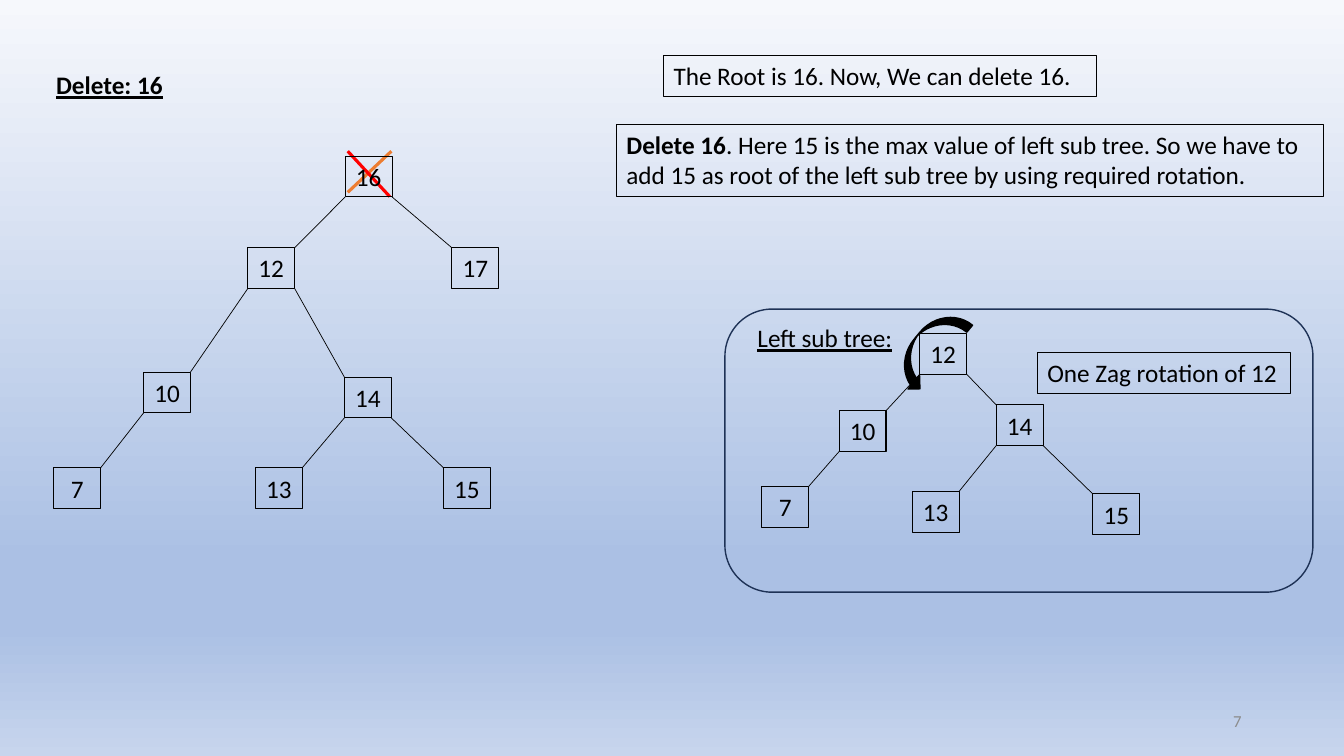
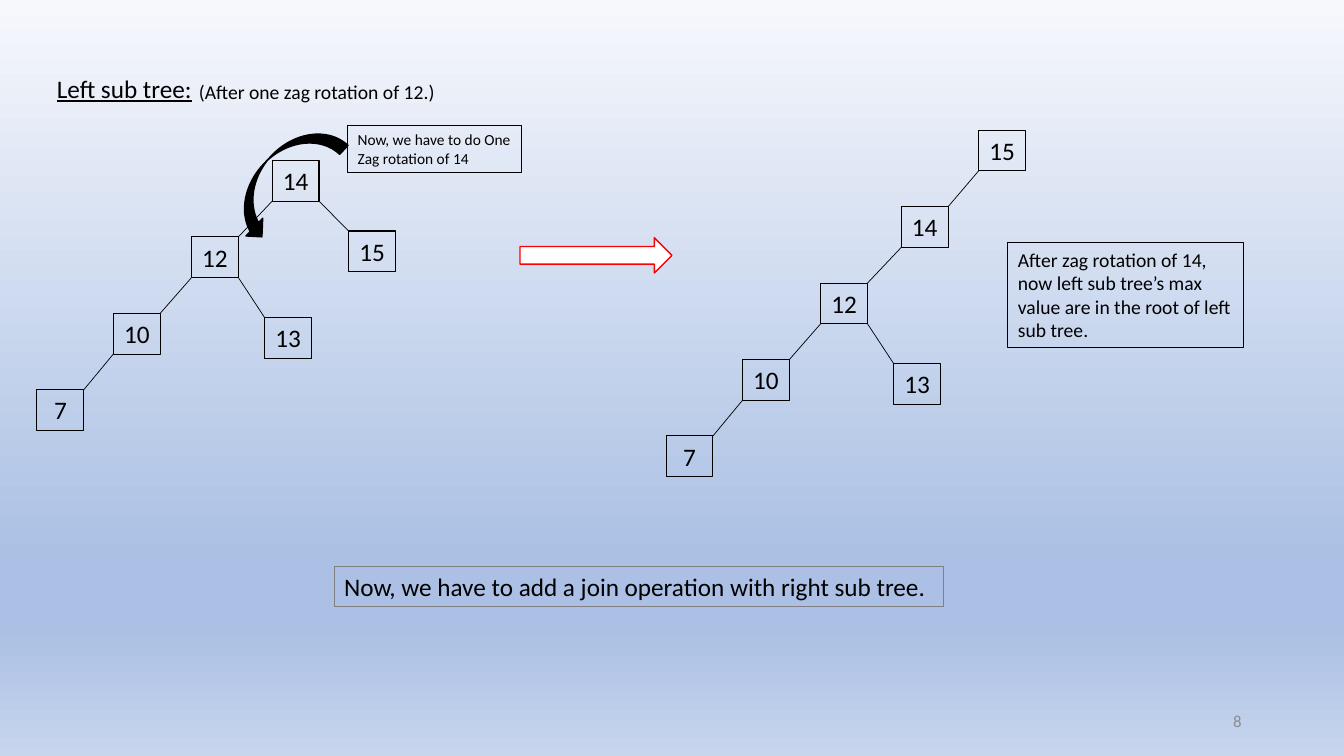
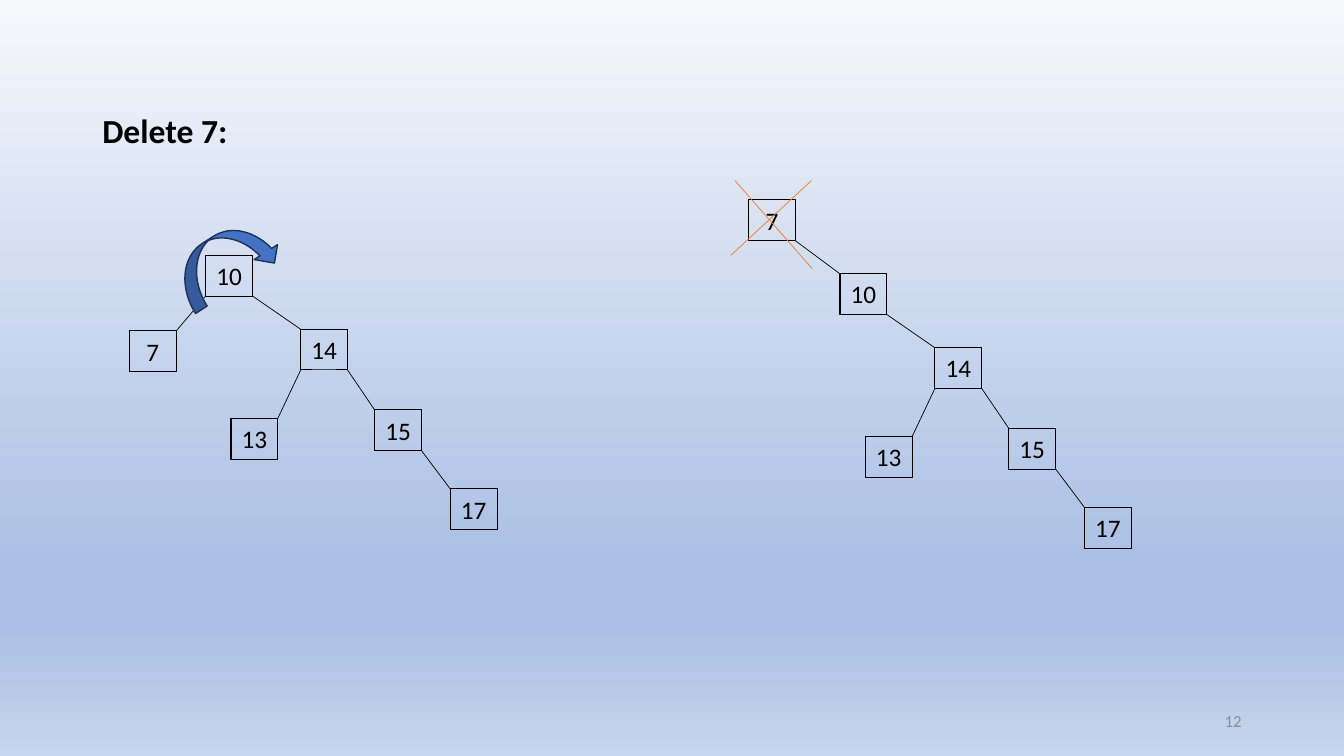
import copy
import pptx
import pptx.dml.color
import pptx.enum.shapes
import pptx.enum.text
import pptx.oxml
import pptx.oxml.ns
import pptx.util

SHAPE = pptx.enum.shapes.MSO_SHAPE
ALIGN = pptx.enum.text.PP_ALIGN
ANCHOR = pptx.enum.text.MSO_ANCHOR

# Grid of 160 columns and 90 rows with square cells
COLS, ROWS = 160, 90
CELL = pptx.util.Inches(7.5) // ROWS
NODE_W, NODE_H = 5.58, 4.85

# Shared look
FONT = "Calibri"
BLACK, GREY, NAVY = "000000", "8C8C8C", "1E3256"
RED, ORANGE, BLUE, WHITE = "FF0000", "ED7D31", "4472C4", "FFFFFF"
SKY = [(0, "F6F8FC"), (0.74, "ABC0E4"), (0.83, "ABC0E4"), (1, "C7D5ED")]


def grid(*cells):
    return [round(c * CELL) for c in cells]


def color(code):
    return pptx.dml.color.RGBColor.from_string(code)


def shift(area, x, y, w=0, h=0):
    """Box given relative to the corner of an area."""
    return area[0] + x, area[1] + y, w, h


def sky(master):
    fill = master.background.fill
    fill.gradient()
    fill.gradient_angle = 270
    stops = master.element.find(".//" + pptx.oxml.ns.qn("a:gsLst"))
    for _ in range(len(SKY) - len(stops)):
        stops.append(copy.deepcopy(stops[0]))
    for stop, (place, code) in zip(fill.gradient_stops, SKY):
        stop.position = place
        stop.color.rgb = color(code)


def shape(slide, kind, box, line=BLACK, width=1, fill=None, turn=0):
    item = slide.shapes.add_shape(kind, *grid(*box))
    item.shadow.inherit = False
    item.rotation = turn
    item.line.color.rgb = color(line)
    item.line.width = pptx.util.Pt(width)
    if fill:
        item.fill.solid()
        item.fill.fore_color.rgb = color(fill)
    else:
        item.fill.background()
    return item


def line(slide, start, end, code=BLACK, width=0.5):
    item = slide.shapes.add_connector(
        pptx.enum.shapes.MSO_CONNECTOR.STRAIGHT, *grid(*start, *end))
    item.line.color.rgb = color(code)
    item.line.width = pptx.util.Pt(width)
    item._element.spPr.append(pptx.oxml.parse_xml(
        "<a:effectLst %s/>" % pptx.oxml.ns.nsdecls("a")))


def write(item, runs, size=18, code=BLACK, align=ALIGN.LEFT,
          anchor=ANCHOR.TOP, wrap=False):
    """Fill an item with runs of (text, style); style holds b and u marks."""
    frame = item.text_frame
    frame.word_wrap = wrap
    frame.vertical_anchor = anchor
    para = frame.paragraphs[0]
    para.alignment = align
    for text, style in runs:
        run = para.add_run()
        run.text = text
        font = run.font
        font.name = FONT
        font.size = pptx.util.Pt(size)
        font.color.rgb = color(code)
        font.bold = "b" in style
        font.underline = "u" in style


def label(slide, box, text, style="", **look):
    write(slide.shapes.add_textbox(*grid(*box)), [(text, style)], **look)


def note(slide, box, *runs, edge=BLACK, **look):
    write(shape(slide, SHAPE.RECTANGLE, box, edge, 0.75), runs, **look)


def tree(slide, area, nodes):
    """Draw nodes given as value: (x, y, parent), parent 0 for the root."""
    for value, (x, y, parent) in nodes.items():
        box = shift(area, x, y, NODE_W, NODE_H)
        note(slide, box, (str(value), ""), align=ALIGN.CENTER)
        if parent:
            px, py, _ = nodes[parent]
            left = x < px
            line(slide,
                 shift(area, px + (0 if left else NODE_W), py + NODE_H)[:2],
                 shift(area, x + (NODE_W if left else 0), y)[:2])


def page(deck, number):
    slide = deck.slides.add_slide(deck.slide_layouts[6])
    label(slide, (113, 83.4, 36, 4.8), number, size=12, code=GREY,
          align=ALIGN.RIGHT, anchor=ANCHOR.MIDDLE, wrap=True)
    return slide


def panel(slide, area):
    """Rounded panel with the left sub tree."""
    shape(slide, SHAPE.ROUNDED_RECTANGLE, area, NAVY)
    label(slide, shift(area, 2.7, 1, 18.7, 4.8), "Left sub tree:", "u")
    tree(slide, area, {
        12: (23.2, 2.9, 0), 10: (13.6, 12.1, 12), 14: (32.3, 11.4, 12),
        7: (4.4, 21.1, 10), 13: (22.3, 21.7, 14), 15: (43.8, 22, 14)})
    note(slide, shift(area, 37.2, 5.2, 30.1, 4.85),
         ("One Zag rotation of 12", ""))
    shape(slide, SHAPE.CURVED_RIGHT_ARROW,
          shift(area, 22.2, -0.7, 4.3, 10.9), fill=BLACK, turn=39.6)


def root(deck):
    slide = page(deck, "7")
    label(slide, (5.5, 7.7, 15.2, 4.8), "Delete: 16", "bu")
    # Tree with its root crossed out
    line(slide, (46.6, 18), (41.4, 22.9), ORANGE, 2.25)
    line(slide, (41.4, 18), (46.4, 23.4), RED, 2.25)
    tree(slide, (6.4, 18.6), {
        16: (34.7, 0, 0), 12: (23.1, 10.9, 16), 17: (47.4, 10.9, 16),
        10: (10.7, 25.7, 12), 14: (34.6, 26.3, 12), 7: (0, 37.1, 10),
        13: (24, 37.1, 14), 15: (46.4, 37.1, 14)})
    # Notes and sub tree
    note(slide, (79, 6.6, 51.5, 4.85),
         ("The Root is 16. Now, We can delete 16.", ""))
    note(slide, (73.4, 14.8, 84.2, 8.6), ("Delete 16", "b"),
         (". Here 15 is the max value of left sub tree. So we have to add 15 "
          "as root of the left sub tree by using required rotation.", ""),
         wrap=True)
    panel(slide, (86.3, 36.8, 70, 33.7))


def zag(deck):
    slide = page(deck, "8")
    label(slide, (5.6, 8.1, 18.7, 4.8), "Left sub tree:", "u")
    label(slide, (22.5, 8.9, 30.8, 4), "(After one zag rotation of 12.)",
          size=14)
    # Trees before and after the rotation
    spine = {14: (28, 0, 0), 12: (18.4, 9.1, 14), 13: (27.1, 18.7, 12),
             10: (9.1, 18.2, 12), 7: (0, 27.3, 10)}
    tree(slide, (4.4, 19.1), {**spine, 15: (37.1, 8.4, 14)})
    tree(slide, (79.3, 24.6),
         {**spine, 14: (28, 0, 15), 15: (37.2, -9.1, 0)})
    # Arrows
    shape(slide, SHAPE.CURVED_RIGHT_ARROW, (30.8, 13.1, 5.8, 16.4),
          fill=BLACK, turn=43.3)
    shape(slide, SHAPE.RIGHT_ARROW, (61.9, 28.3, 18.1, 4.2), RED, fill=WHITE)
    # Notes
    note(slide, (41.4, 14.9, 20.7, 5.6),
         ("Now, we have to do One Zag rotation of 14", ""),
         size=11, wrap=True)
    note(slide, (120, 28.9, 28.1, 12.5),
         ("After zag rotation of 14, now left sub tree’s max value are in "
          "the root of left sub tree.", ""), size=14, wrap=True)
    note(slide, (39.8, 67.4, 72.5, 4.85),
         ("Now, we have to add a join operation with right sub tree.", ""),
         edge="808080")


def leaf(deck):
    slide = page(deck, "12")
    label(slide, (11, 12.5, 17.5, 6), "Delete 7:", "b", size=24)
    # Trees before and after the rotation
    tail = {14: (20.4, 8.8, 10), 13: (12.1, 19.4, 14),
            15: (29.2, 18.4, 14), 17: (38.2, 27.8, 15)}
    tree(slide, (15.4, 30.4), {10: (9.1, 0, 0), 7: (0, 9, 10), **tail})
    tree(slide, (90.9, 32.6), {7: (-1.8, -8.8, 0), 10: (9.1, 0, 7), **tail})
    # Rotation arrow and cross
    shape(slide, SHAPE.CURVED_DOWN_ARROW, (20.5, 27.8, 12.8, 6.6), NAVY,
          fill=BLUE, turn=327.4)
    line(slide, (96.6, 21.5), (87, 30.4), ORANGE)
    line(slide, (87.5, 21.5), (96.7, 32), ORANGE)


def main():
    deck = pptx.Presentation()
    deck.slide_width, deck.slide_height = grid(COLS, ROWS)
    sky(deck.slide_master)
    for build in (root, zag, leaf):
        build(deck)
    deck.save("out.pptx")


if __name__ == "__main__":
    main()
